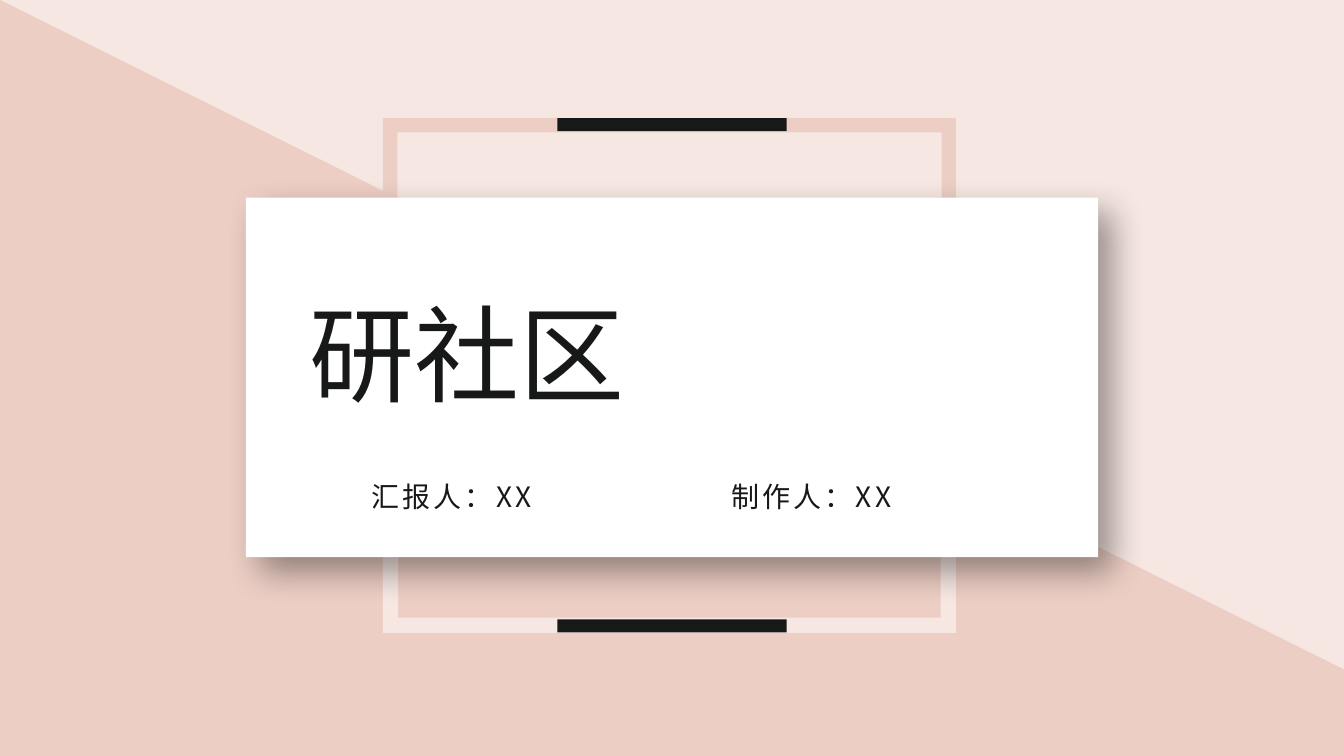
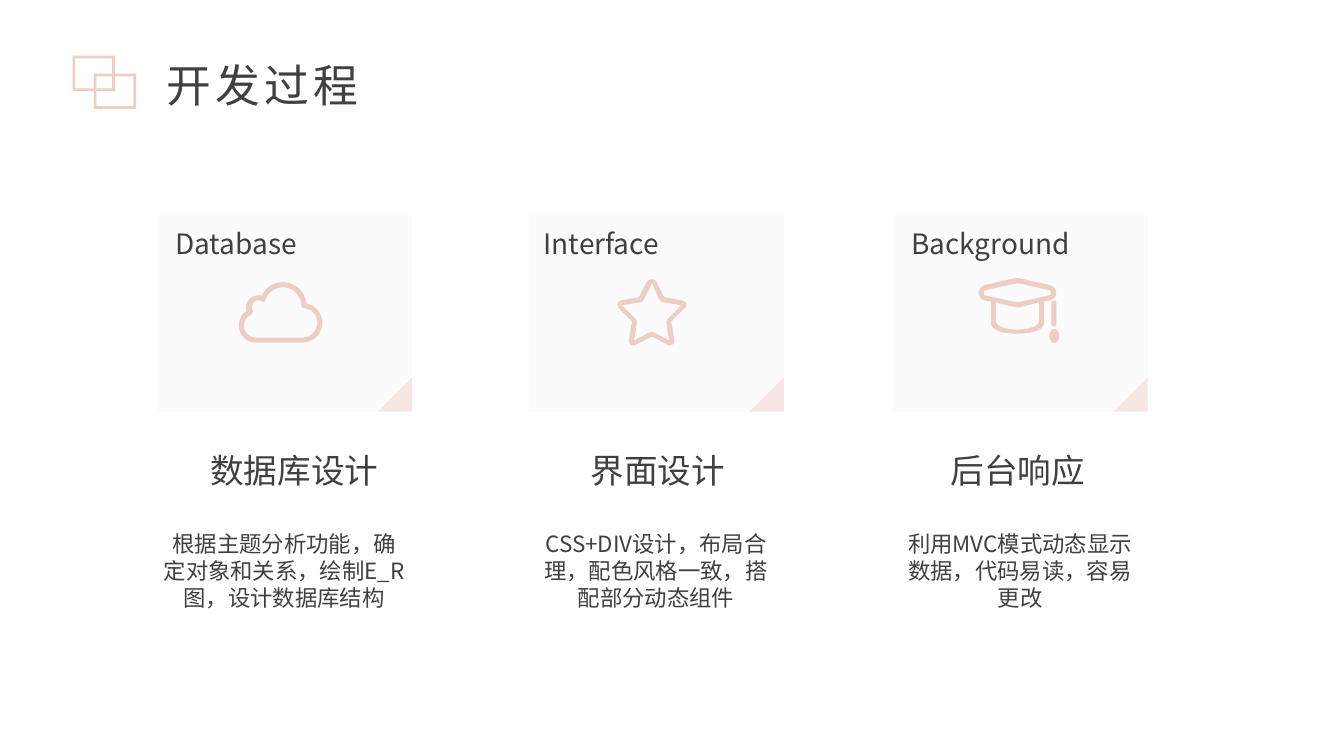
import pptx
import pptx.dml.color
import pptx.enum.shapes
import pptx.enum.text
import pptx.oxml.ns
import pptx.util
from lxml import etree

Pt = pptx.util.Pt
qn = pptx.oxml.ns.qn
SHAPES = pptx.enum.shapes.MSO_SHAPE
ALIGN = pptx.enum.text.PP_ALIGN
ANCHOR = pptx.enum.text.MSO_ANCHOR
AUTO_SIZE = pptx.enum.text.MSO_AUTO_SIZE

COLORS = {
    "blush": "F6E7E2",
    "rose": "ECCEC4",
    "white": "FFFFFF",
    "black": "171919",
    "text": "404040",
    "card": "D0CECE",
}
FONT = "Noto Sans CJK SC"
FRAME = {
    "word_wrap": True,
    "auto_size": AUTO_SIZE.SHAPE_TO_FIT_TEXT,
    "vertical_anchor": ANCHOR.TOP,
    "margin_left": Pt(7.2),
    "margin_right": Pt(7.2),
    "margin_top": Pt(3.6),
    "margin_bottom": Pt(3.6),
}
CREDIT_FRAME = {"margin_left": Pt(5), "margin_right": Pt(5), "margin_top": Pt(3), "margin_bottom": Pt(3)}
HEADING_FRAME = {
    "auto_size": AUTO_SIZE.NONE,
    "vertical_anchor": ANCHOR.MIDDLE,
    "margin_left": Pt(14.4),
    "margin_right": Pt(14.4),
    "margin_top": Pt(7.2),
    "margin_bottom": Pt(7.2),
}
BODY_FRAME = {"vertical_anchor": ANCHOR.MIDDLE}


def paint(shape, color, adjustment=None, alpha=None):
    shape.fill.solid()
    shape.fill.fore_color.rgb = pptx.dml.color.RGBColor.from_string(COLORS[color])
    shape.line.fill.background()
    shape.shadow.inherit = False
    if adjustment is not None:
        shape.adjustments[0] = adjustment
    if alpha is not None:
        fill_color = shape._element.spPr.find(qn("a:solidFill"))[0]
        etree.SubElement(fill_color, qn("a:alpha"), val=str(alpha * 1000))
    return shape


def write(shape, text, box, size, color="text", spacing=0, align=ALIGN.LEFT, before=0, frame={}):
    shape._element.getparent().append(shape._element)
    for name, value in zip(("left", "top", "width", "height"), box):
        setattr(shape, name, Pt(value))
    for name, value in {**FRAME, **frame}.items():
        setattr(shape.text_frame, name, value)
    paragraph = shape.text_frame.paragraphs[0]
    for name, value in {"alignment": align, "space_before": Pt(before)}.items():
        setattr(paragraph, name, value)
    run = paragraph.add_run()
    run.text = text
    for name, value in {"name": FONT, "size": Pt(size), "bold": False}.items():
        setattr(run.font, name, value)
    run.font.color.rgb = pptx.dml.color.RGBColor.from_string(COLORS[color])
    properties = run._r.get_or_add_rPr()
    etree.SubElement(properties, qn("a:ea"), typeface=FONT)
    if spacing:
        properties.set("spc", str(int(spacing * 100)))


presentation = pptx.Presentation()
presentation.slide_width = Pt(960)
presentation.slide_height = Pt(540)

slides = []
for layout, background in ((0, "blush"), (5, "white")):
    slide = presentation.slides.add_slide(presentation.slide_layouts[layout])
    slide.background.fill.solid()
    slide.background.fill.fore_color.rgb = pptx.dml.color.RGBColor.from_string(COLORS[background])
    slides.append(slide)
cover, process = slides

for kind, box, color, adjustment in (
    (SHAPES.RIGHT_TRIANGLE, (0, 0, 1166.4, 581), "rose", None),
    (SHAPES.FRAME, (273.6, 159.8, 409.2, 292.3), "blush", 0.037),
    (SHAPES.FRAME, (273.6, 84.4, 409.2, 276.5), "rose", 0.037),
    (SHAPES.RECTANGLE, (398.2, 84.4, 163.7, 9.3), "black", None),
    (SHAPES.RECTANGLE, (398.2, 442.4, 163.7, 9.3), "black", None),
    (SHAPES.RECTANGLE, (175.6, 141.1, 608.8, 256.8), "white", None),
):
    panel = paint(cover.shapes.add_shape(kind, *map(Pt, box)), color, adjustment)

shadow = etree.SubElement(
    panel._element.spPr.find(qn("a:effectLst")),
    qn("a:outerShdw"),
    blurRad=str(Pt(25)),
    dist=str(Pt(15)),
    dir="2700000",
    algn="tl",
    rotWithShape="0",
)
shadow_color = etree.SubElement(shadow, qn("a:srgbClr"), val="000000")
etree.SubElement(shadow_color, qn("a:alpha"), val="38000")

write(cover.shapes.title, "研社区", (213.8, 203.3, 532.1, 97.9), 75, "black", align=ALIGN.JUSTIFY)
producer = cover.shapes.add_textbox(0, 0, 0, 0)
for shape, text, left, width in (
    (cover.placeholders[1], "汇报人：XX", 260.3, 193.7),
    (producer, "制作人：XX", 517.4, 171.4),
):
    write(shape, text, (left, 339.8, width, 29.5), 20, "black", spacing=2.2, frame=CREDIT_FRAME)

for left, top in ((51.8, 39.8), (67, 52.6)):
    paint(process.shapes.add_shape(SHAPES.FRAME, *map(Pt, (left, top, 30.2, 25.2))), "rose", 0.076)
write(process.shapes.title, "开发过程", (111.9, 37.4, 315.4, 46.1), 32, spacing=3)

CARD_TOP, CARD_WIDTH, CARD_HEIGHT, CORNER = 153.7, 182.2, 140.4, 24.5
columns = (
    ("Database", 112.2, 118.1, "数据库设计", 135.9,
     "根据主题分析功能，确定对象和关系，绘制E_R图，设计数据库结构", 108.7, 188.6),
    ("Interface", 377.7, 381.2, "界面设计", 407.5,
     "CSS+DIV设计，布局合理，配色风格一致，搭配部分动态组件", 380.8, 175.7),
    ("Background", 637.6, 643.7, "后台响应", 664.6,
     "利用MVC模式动态显示数据，代码易读，容易更改", 640.8, 175.7),
)
for label, card_left, label_left, heading, heading_left, body, body_left, body_width in columns:
    card_box = (card_left, CARD_TOP, CARD_WIDTH, CARD_HEIGHT)
    paint(process.shapes.add_shape(SHAPES.RECTANGLE, *map(Pt, card_box)), "card", alpha=8)
    corner_box = (card_left + CARD_WIDTH - CORNER, CARD_TOP + CARD_HEIGHT - CORNER, CORNER, CORNER)
    corner = paint(process.shapes.add_shape(SHAPES.RIGHT_TRIANGLE, *map(Pt, corner_box)), "blush")
    corner._element.spPr.find(qn("a:xfrm")).set("flipH", "1")
    for text, box, formats in (
        (label, (label_left, 158.4, 169.2, 31.7), {"size": 20}),
        (heading, (heading_left, 314.6, 175.7, 42.5), {"size": 24, "frame": HEADING_FRAME}),
        (body, (body_left, 374.8, body_width, 65.5),
         {"size": 16, "align": ALIGN.CENTER, "before": 12, "frame": BODY_FRAME}),
    ):
        write(process.shapes.add_textbox(0, 0, 0, 0), text, box, **formats)

ICON_UNIT = 0.72
cloud = (
    ((67, 21), (66, 9, 56, 0, 44, 0), (34, 0, 27, 5, 23, 13), (22, 13, 21, 13, 19, 13),
     (13, 13, 7, 18, 7, 25), (7, 26, 8, 27, 8, 28), (3, 31, 0, 37, 0, 43),
     (0, 52, 7, 60, 17, 60), (63, 60), (74, 60, 83, 51, 83, 40), (83, 31, 76, 23, 67, 21)),
    ((63, 55), (17, 55), (10, 55, 5, 49, 5, 43), (5, 39, 7, 35, 11, 33),
     (14, 31, 15, 30, 13, 27), (13, 25), (13, 21, 16, 18, 19, 18), (19, 18, 21, 18, 23, 19),
     (26, 20, 26, 19, 27, 16), (30, 9, 37, 5, 44, 5), (53, 5, 61, 12, 62, 22),
     (62, 25, 62, 25, 66, 26), (73, 27, 78, 33, 78, 40), (78, 48, 71, 55, 63, 55)),
)
star = (
    ((69, 24), (68, 23, 66, 21, 64, 21), (47, 18), (39, 2), (38, 1, 36, 0, 35, 0),
     (33, 0, 31, 1, 30, 2), (22, 18), (5, 21), (3, 21, 1, 23, 1, 24), (0, 26, 1, 28, 2, 29),
     (15, 42), (12, 60), (11, 62, 12, 64, 14, 65), (15, 66, 16, 66, 17, 66),
     (17, 66, 18, 66, 19, 65), (35, 57), (50, 65), (51, 66, 52, 66, 52, 66),
     (53, 66, 54, 66, 55, 65), (57, 64, 58, 62, 57, 60), (54, 42), (67, 29),
     (69, 28, 69, 26, 69, 24)),
    ((51, 39), (50, 40, 49, 41, 49, 43), (52, 61), (37, 53), (36, 52, 35, 52, 35, 52),
     (34, 52, 33, 52, 32, 53), (17, 61), (20, 43), (20, 41, 19, 40, 18, 39), (5, 26),
     (23, 23), (25, 23, 26, 22, 27, 20), (35, 4), (42, 20), (43, 22, 44, 23, 46, 23), (64, 26)),
)
graduation_cap = (
    ((77, 15), (77, 11, 74, 8, 71, 7), (40, 0), (36, 0), (5, 7), (2, 8, 0, 11, 0, 15),
     (0, 18, 2, 21, 5, 22), (12, 23), (12, 43), (12, 50, 19, 55, 38, 55),
     (57, 55, 65, 50, 65, 43), (65, 23), (71, 22), (74, 21, 77, 18, 77, 15)),
    ((60, 43), (60, 46, 53, 51, 38, 51), (24, 51, 17, 46, 17, 43), (17, 24), (37, 29),
     (40, 29), (60, 24)),
    ((39, 24), (38, 24), (6, 17), (5, 17, 5, 16, 5, 15), (5, 13, 5, 12, 6, 12), (38, 5),
     (39, 5), (70, 12), (71, 12, 72, 13, 72, 15), (72, 16, 71, 17, 70, 17)),
)
for contours, left, top in ((cloud, 170.6, 201.6), (star, 440.6, 199.4), (graduation_cap, 699.1, 198.7)):
    builder = None
    for contour in contours:
        points = [
            (Pt(left + segment[-2] * ICON_UNIT), Pt(top + segment[-1] * ICON_UNIT))
            for segment in contour
        ]
        if builder is None:
            builder = process.shapes.build_freeform(*points[0])
        else:
            builder.move_to(*points[0])
        builder.add_line_segments(points[1:], close=True)
    icon = paint(builder.convert_to_shape(), "rose")
    segments = [segment for contour in contours for segment in contour[1:]]
    for edge, segment in zip(list(icon._element.iter(qn("a:lnTo"))), segments):
        if len(segment) == 6:
            edge.tag = qn("a:cubicBezTo")
            for index in (0, 1):
                x, y = segment[2 * index:2 * index + 2]
                control = etree.Element(
                    qn("a:pt"),
                    x=str(Pt(left + x * ICON_UNIT) - icon.left),
                    y=str(Pt(top + y * ICON_UNIT) - icon.top),
                )
                edge.insert(index, control)

for kind, box, adjustment in (
    (SHAPES.ROUNDED_RECTANGLE, (751, 214.6, 3.6, 18.7), 0.5),
    (SHAPES.OVAL, (749.5, 234.9, 7.2, 10.1), None),
):
    paint(process.shapes.add_shape(kind, *map(Pt, box)), "rose", adjustment)

presentation.save("out.pptx")
